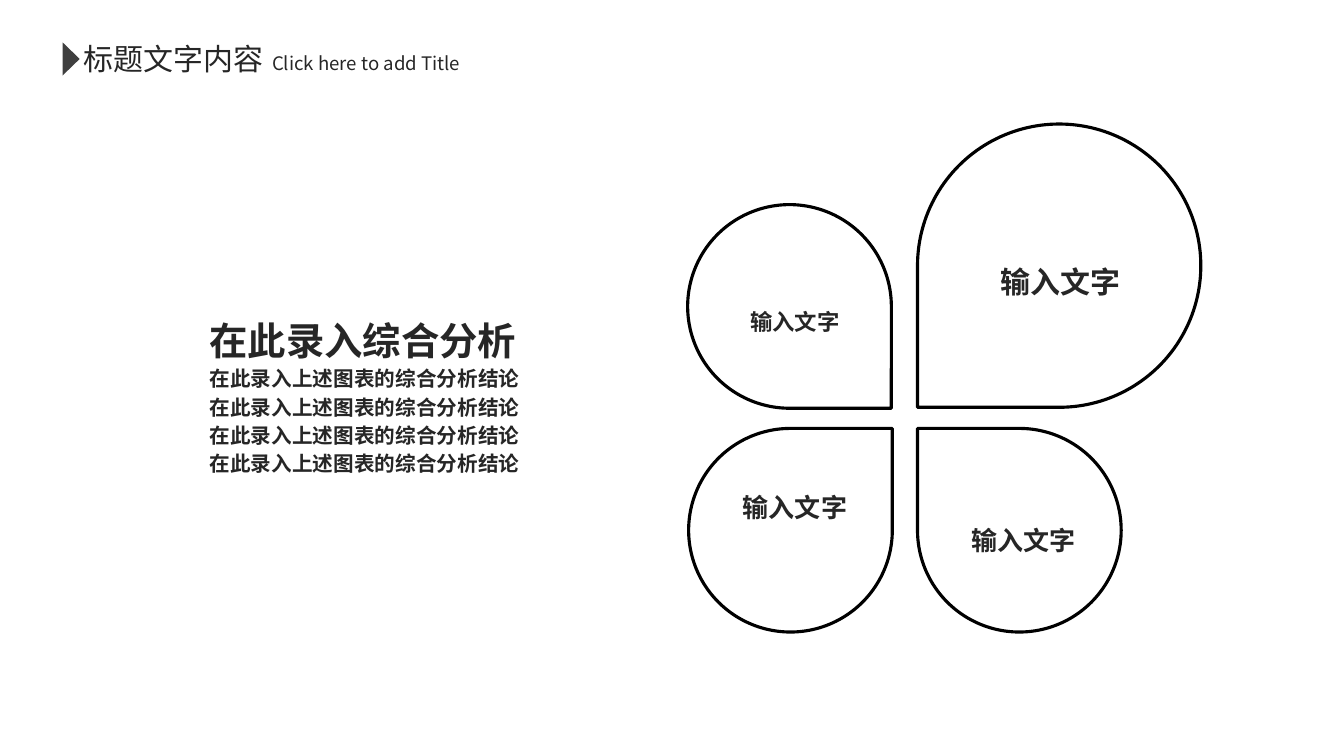
from lxml import etree
from pptx import Presentation
from pptx.dml.color import RGBColor
from pptx.enum.shapes import MSO_SHAPE
from pptx.enum.text import MSO_AUTO_SIZE, PP_ALIGN
from pptx.oxml.ns import qn
from pptx.util import Emu, Pt

RECT, TEAR, TRI = MSO_SHAPE.RECTANGLE, MSO_SHAPE.TEAR, MSO_SHAPE.ISOSCELES_TRIANGLE
GROW = MSO_AUTO_SIZE.SHAPE_TO_FIT_TEXT
LEFT, CENTER = PP_ALIGN.LEFT, PP_ALIGN.CENTER
FONT = "Noto Sans CJK SC"
INK = "262626"
WIDE, HIGH = 1333, 750


def px(n):
    """Turn pixels, 100 to the inch, into EMU."""
    return Emu(n * 9144)


def color(code):
    """Turn a hex string into a colour."""
    return RGBColor.from_string(code)


def add_form(slide, kind, box, fill=None, line=None, turn=0):
    """Add a preset shape with an optional fill, outline and rotation."""
    form = slide.shapes.add_shape(kind, *map(px, box))
    form.shadow.inherit = False
    form.rotation = turn
    if fill:
        form.fill.solid()
        form.fill.fore_color.rgb = color(fill)
    else:
        form.fill.background()
    if line:
        form.line.color.rgb = color(line)
        form.line.width = Pt(2.25)
    else:
        form.line.fill.background()


def add_run(para, text, size, bold):
    """Add one styled run to a paragraph."""
    run = para.add_run()
    run.text = text
    font = run.font
    font.name, font.size, font.bold = FONT, Pt(size), bold
    font.color.rgb = color(INK)
    etree.SubElement(run._r.get_or_add_rPr(), qn("a:ea"), typeface=FONT)


def add_text(slide, box, lines, bold=True, align=LEFT, wrap=True, space=None):
    """Add a text box with one paragraph for each text and size."""
    frame = slide.shapes.add_textbox(*map(px, box)).text_frame
    frame.word_wrap = wrap
    frame.auto_size = GROW
    for i, (text, size) in enumerate(lines):
        para = frame.add_paragraph() if i else frame.paragraphs[0]
        para.alignment = align
        para.line_spacing = space
        add_run(para, text, size, bold)


def main():
    """Build the slide and save it."""
    deck = Presentation()
    deck.slide_width, deck.slide_height = px(WIDE), px(HIGH)
    slide = deck.slides.add_slide(deck.slide_layouts[6])
    add_form(slide, RECT, (0, 0, WIDE, HIGH), fill="FFFFFF")

    petals = [
        (910, 123, 281, 180),
        (910, 425, 202, 270),
        (683, 425, 202, 0),
        (682, 203, 202, 90),
    ]
    for x, y, side, turn in petals:
        add_form(slide, TEAR, (x, y, side, side), line="000000", turn=turn)

    labels = [
        (682, 301, 37, 16),
        (945, 257, 46, 21.4),
        (682, 483, 42, 18.6),
        (909, 515, 42, 18.6),
    ]
    for x, y, high, size in labels:
        add_text(slide, (x, y, 213, high), [("输入文字", size)], align=CENTER)

    notes = [("在此录入综合分析", 27.4)] + [("在此录入上述图表的综合分析结论", 14.7)] * 4
    add_text(slide, (198, 303, 406, 175), notes, space=1.14)

    add_text(slide, (73, 35, 200, 46), [("标题文字内容", 21.4)], bold=False, wrap=False)
    add_form(slide, TRI, (54, 50, 33, 17), fill="3F3F3F", turn=90)
    add_text(slide, (260, 47, 208, 33), [("Click here to add Title", 13.3)],
             bold=False, wrap=False)
    deck.save("out.pptx")


if __name__ == "__main__":
    main()
